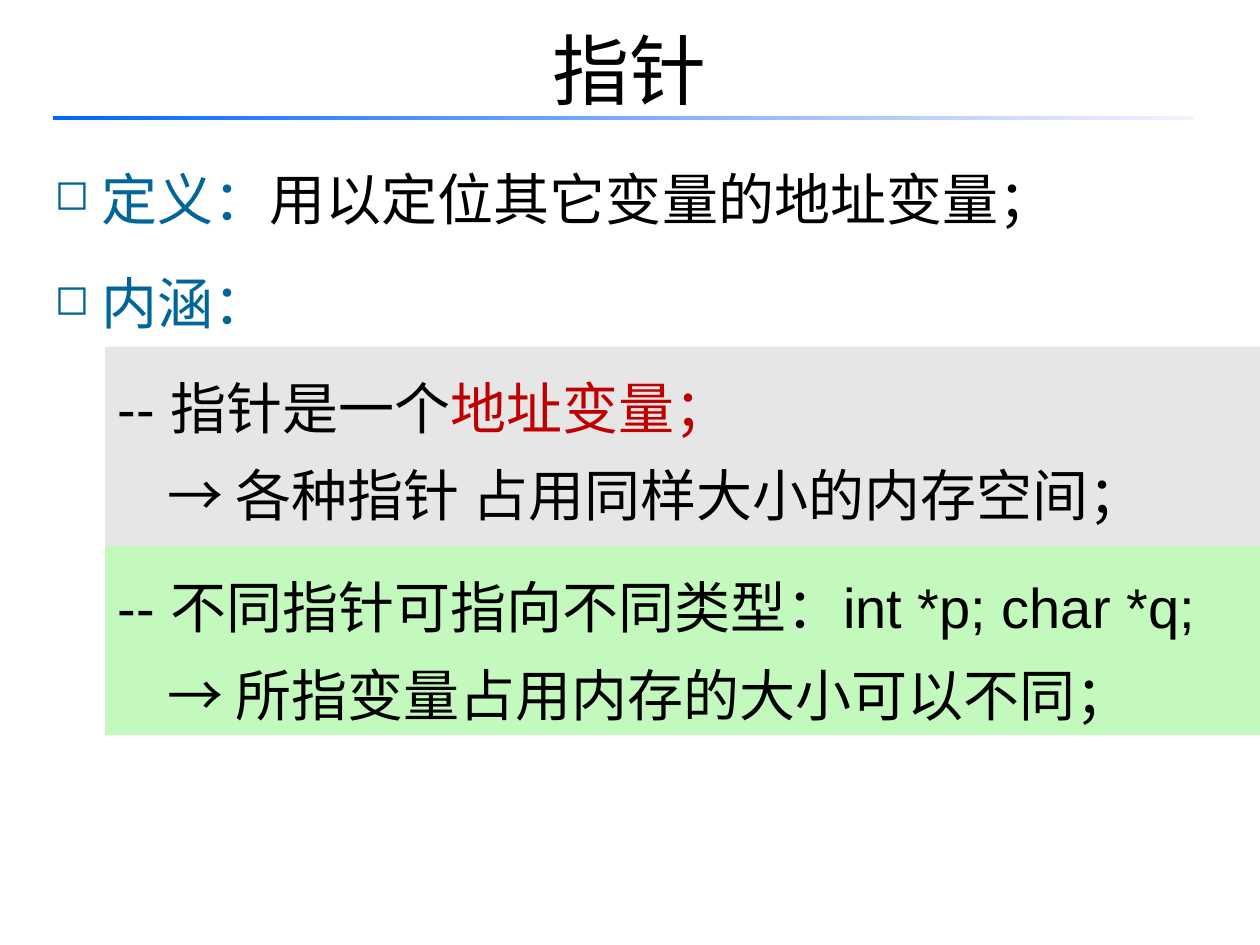
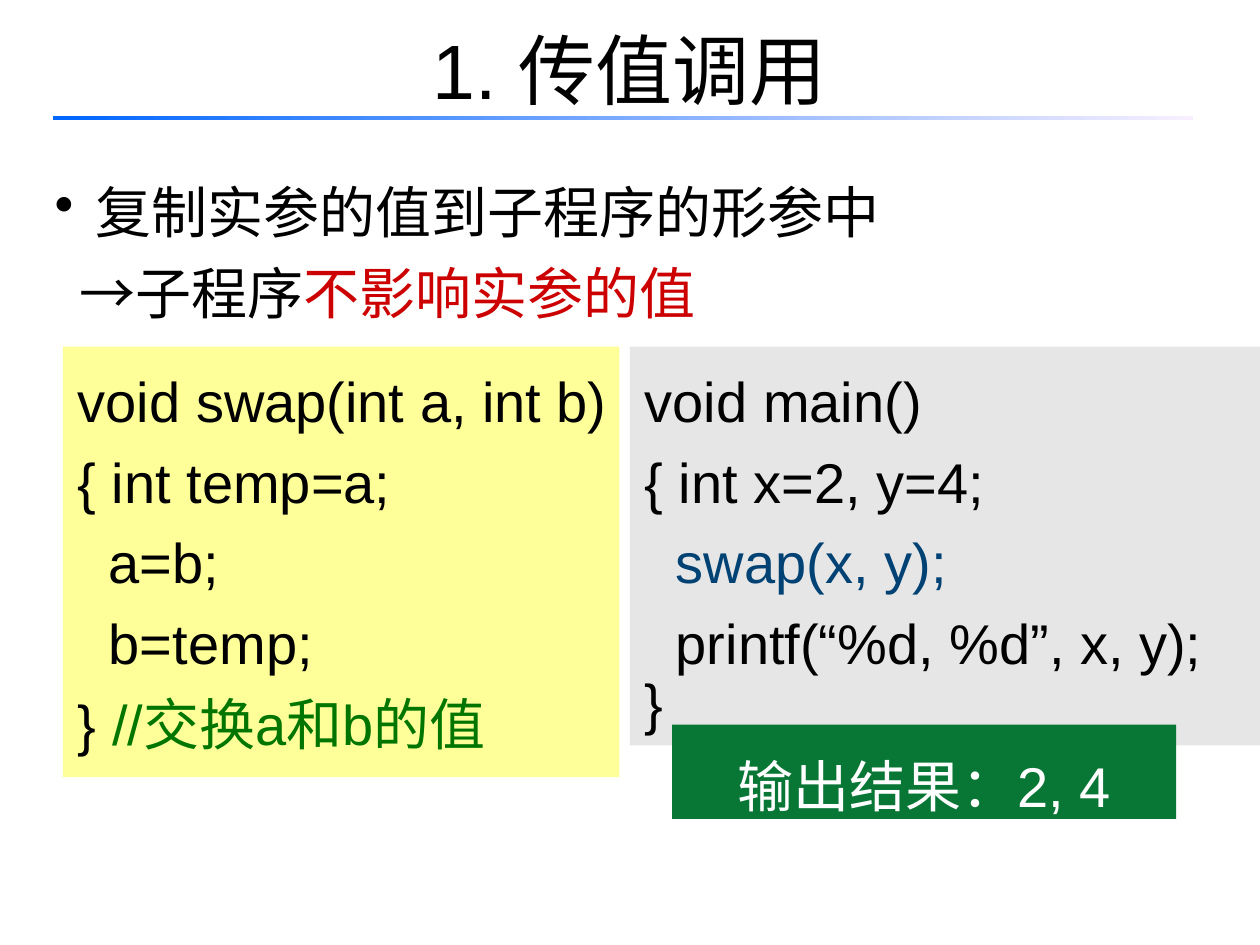
from typing import NamedTuple, Optional

from lxml import etree
from pptx import Presentation
from pptx.dml.color import RGBColor
from pptx.enum.shapes import MSO_SHAPE
from pptx.enum.text import MSO_ANCHOR, PP_ALIGN
from pptx.oxml.ns import qn
from pptx.util import Cm, Pt

RECTANGLE = MSO_SHAPE.RECTANGLE
TOP, MIDDLE = MSO_ANCHOR.TOP, MSO_ANCHOR.MIDDLE
LEFT, CENTER = PP_ALIGN.LEFT, PP_ALIGN.CENTER


class Theme(NamedTuple):
    font: str = "Arial"
    title_size: int = 44
    body_size: int = 32
    black: str = "000000"
    white: str = "FFFFFF"
    term: str = "006699"
    address: str = "C00000"
    warning: str = "CC0000"
    call: str = "004274"
    comment: str = "007600"
    gray: str = "E6E6E6"
    mint: str = "C4F9BD"
    yellow: str = "FFFF99"
    green: str = "087635"
    rule_start: str = "0066FF"
    rule_end: str = "F7EFFF"


THEME = Theme()


class Run(NamedTuple):
    text: str
    color: str = THEME.black


class Line(NamedTuple):
    runs: list[Run]
    spacing: float = 1.0
    margin: float = 0
    hanging: float = 0
    bullet: str = ""
    bullet_percent: int = 100
    align: PP_ALIGN = LEFT


class Box(NamedTuple):
    left: float
    top: float
    width: float
    height: float
    lines: list[Line]
    fill: Optional[str] = None
    inset: float = 0.25
    anchor: MSO_ANCHOR = TOP
    size: int = THEME.body_size


def add_line(paragraph, line: Line, size: int) -> None:
    properties = paragraph._p.get_or_add_pPr()
    properties.set("marL", str(Cm(line.margin)))
    properties.set("indent", str(-Cm(line.hanging)))
    paragraph.alignment = line.align
    paragraph.line_spacing = line.spacing
    if line.bullet:
        bullet_size = etree.SubElement(properties, qn("a:buSzPct"))
        bullet_size.set("val", str(line.bullet_percent * 1000))
        etree.SubElement(properties, qn("a:buChar")).set("char", line.bullet)
    for item in line.runs:
        run = paragraph.add_run()
        run.text = item.text
        run.font.name = THEME.font
        run.font.size = Pt(size)
        run.font.color.rgb = RGBColor.from_string(item.color)


def add_box(slide, box: Box) -> None:
    area = Cm(box.left), Cm(box.top), Cm(box.width), Cm(box.height)
    if box.fill:
        shape = slide.shapes.add_shape(RECTANGLE, *area)
        shape.shadow.inherit = False
        shape.fill.solid()
        shape.fill.fore_color.rgb = RGBColor.from_string(box.fill)
        shape.line.fill.background()
    else:
        shape = slide.shapes.add_textbox(*area)
    frame = shape.text_frame
    frame.word_wrap = True
    frame.vertical_anchor = box.anchor
    frame.margin_left = frame.margin_right = Cm(box.inset)
    frame.margin_top = frame.margin_bottom = Cm(0.13)
    for index, line in enumerate(box.lines):
        paragraph = frame.add_paragraph() if index else frame.paragraphs[0]
        add_line(paragraph, line, box.size)


def add_rule(slide) -> None:
    rule = slide.shapes.add_shape(RECTANGLE, Cm(1.06), Cm(2.33), Cm(22.99), Cm(0.1))
    rule.shadow.inherit = False
    rule.line.fill.background()
    rule.fill.gradient()
    rule.fill.gradient_angle = 0
    for stop, color in zip(rule.fill.gradient_stops, (THEME.rule_start, THEME.rule_end)):
        stop.color.rgb = RGBColor.from_string(color)


def add_slide(presentation, title: str, boxes: list[Box]) -> None:
    slide = presentation.slides.add_slide(presentation.slide_layouts[6])
    heading = Line([Run(title)], align=CENTER)
    add_box(slide, Box(1.27, -0.21, 22.86, 3.18, [heading],
                       anchor=MIDDLE, size=THEME.title_size))
    add_rule(slide)
    for box in boxes:
        add_box(slide, box)


def term_line(*runs: Run) -> Line:
    return Line(list(runs), margin=0.95, hanging=0.95, bullet="◻", bullet_percent=75)


def point_lines(point: list[Run], consequence: str) -> list[Line]:
    return [Line(point, 1.3, margin=0.95, hanging=0.95),
            Line([Run(consequence)], 1.3, margin=1.0)]


def code_line(*runs: Run, spacing: float = 1.2) -> Line:
    return Line(list(runs), spacing, margin=0.3)


def pointer_boxes() -> list[Box]:
    definition = term_line(Run("定义：", THEME.term), Run("用以定位其它变量的地址变量；"))
    meaning = term_line(Run("内涵：", THEME.term))
    address = point_lines([Run("-- 指针是一个"), Run("地址变量；", THEME.address)],
                          "→ 各种指针 占用同样大小的内存空间；")
    types = point_lines([Run("-- 不同指针可指向不同类型：int *p; char *q;")],
                        "→ 所指变量占用内存的大小可以不同；")
    return [
        Box(0.85, 3.18, 24.13, 1.9, [definition]),
        Box(0.85, 5.29, 24.13, 1.7, [meaning]),
        Box(2.12, 11.01, 23.28, 3.81, types, THEME.mint),
        Box(2.12, 6.99, 23.28, 4.02, address, THEME.gray),
    ]


def call_by_value_boxes() -> list[Box]:
    summary = [
        Line([Run("复制实参的值到子程序的形参中")], 1.2, margin=0.83, hanging=0.83, bullet="•"),
        Line([Run("→子程序"), Run("不影响实参的值", THEME.warning)], 1.2, margin=0.5),
    ]
    main_code = [
        code_line(Run("void main()")),
        code_line(Run("{ int x=2, y=4;")),
        code_line(Run("  "), Run("swap(x, y);", THEME.call)),
        code_line(Run("  printf(“%d, %d”, x, y);")),
        code_line(Run("}"), spacing=0.9),
    ]
    swap_code = [
        code_line(Run("void swap(int a, int b)")),
        code_line(Run("{ int temp=a;")),
        code_line(Run("  a=b;")),
        code_line(Run("  b=temp;")),
        code_line(Run("} "), Run("//交换a和b的值", THEME.comment)),
    ]
    result = Line([Run("输出结果：2, 4", THEME.white)], 1.3, align=CENTER)
    return [
        Box(0.85, 3.18, 24.34, 3.53, summary),
        Box(12.7, 6.99, 12.7, 8.04, main_code, THEME.gray, inset=0),
        Box(1.27, 6.99, 11.22, 8.68, swap_code, THEME.yellow, inset=0),
        Box(13.55, 14.61, 10.16, 1.9, [result], THEME.green),
    ]


def main() -> None:
    presentation = Presentation()
    presentation.slide_width = Cm(25.4)
    presentation.slide_height = Cm(19.05)
    add_slide(presentation, "指针", pointer_boxes())
    add_slide(presentation, "1. 传值调用", call_by_value_boxes())
    presentation.save("out.pptx")


if __name__ == "__main__":
    main()
